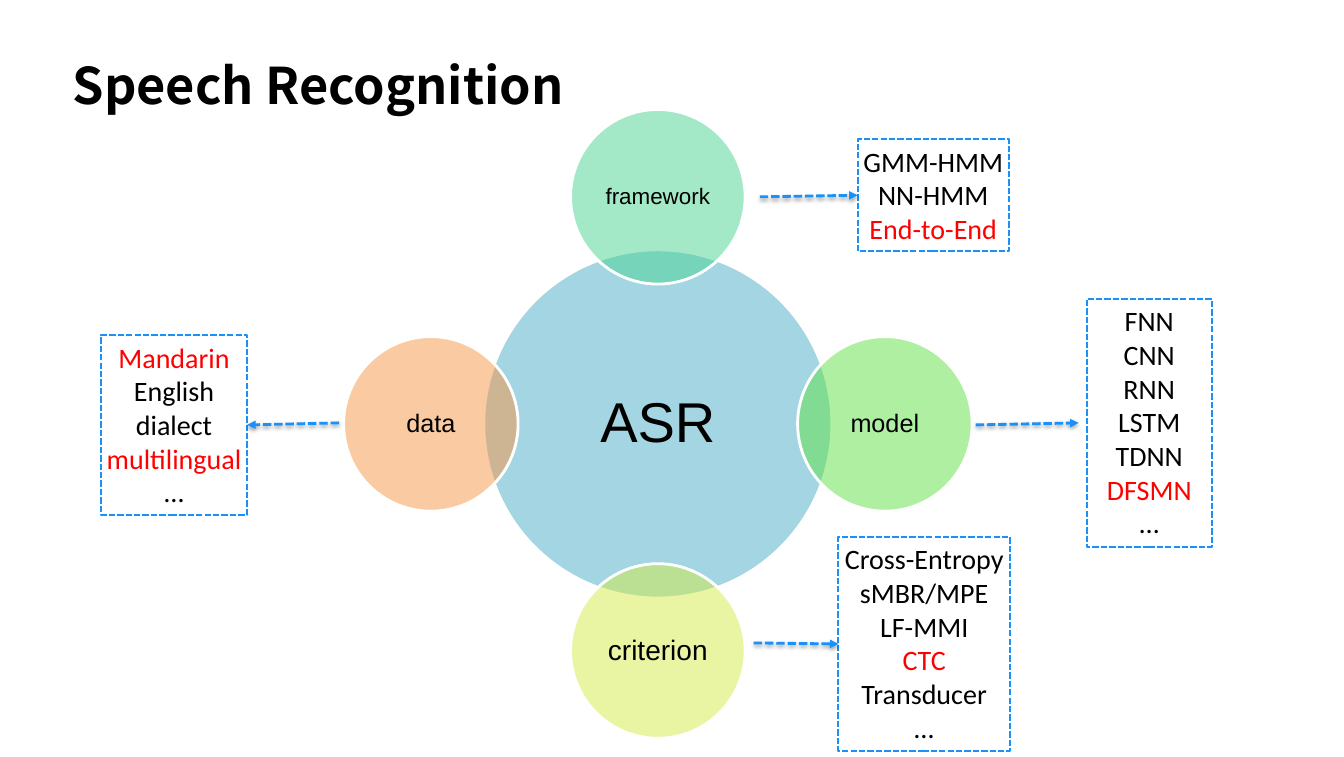
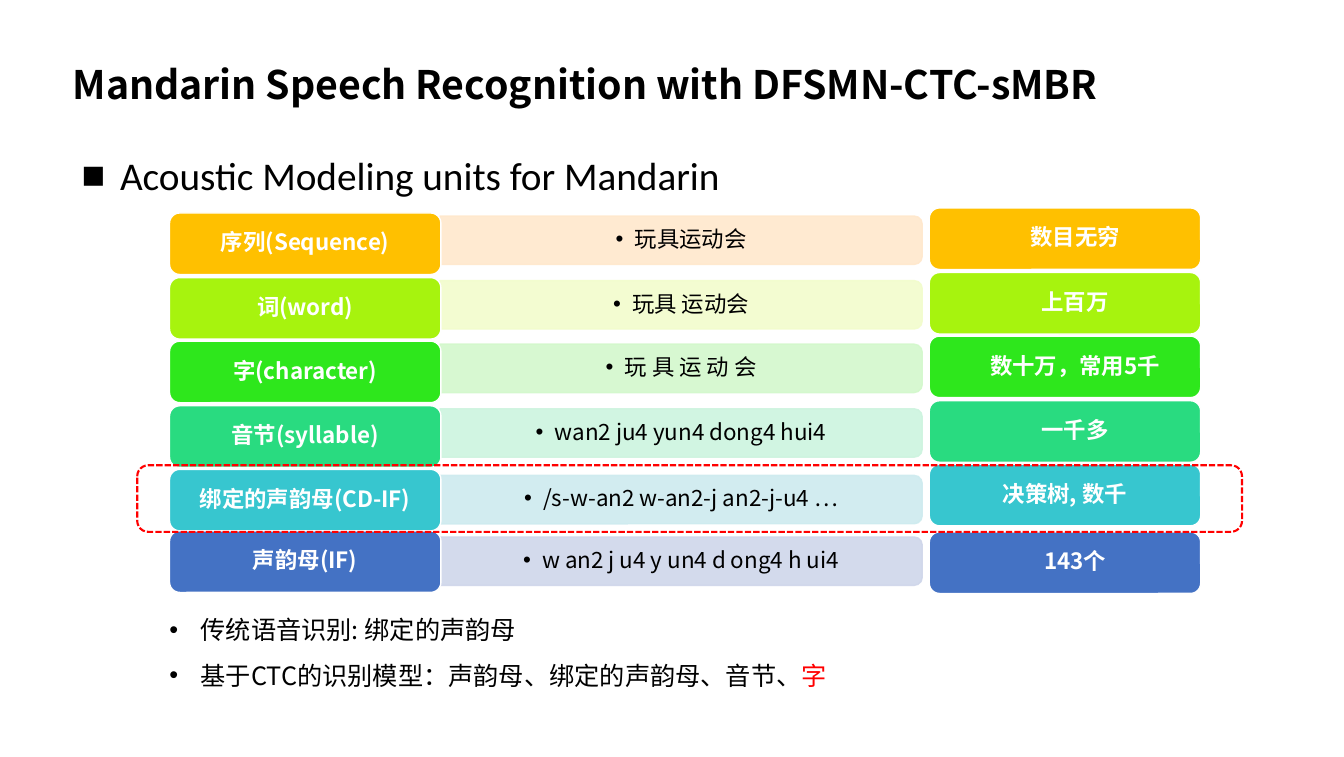
"""Build two slides on speech recognition: the task overview and the Mandarin modelling units."""
from lxml.etree import SubElement
from pptx import Presentation
from pptx.dml.color import RGBColor
from pptx.enum.dml import MSO_LINE as Dash
from pptx.enum.shapes import MSO_CONNECTOR as Link, MSO_SHAPE as Kind
from pptx.enum.text import MSO_ANCHOR as Anchor, PP_ALIGN as Align
from pptx.oxml.ns import qn
from pptx.util import Pt

PX = 9144
SLIDE_SIZE = (1332, 750)
TITLE_BOX = (67, 45, 1199, 77)
CJK, SANS, BODY = "Noto Sans CJK SC", "Arial", "Calibri"
COLORS = {
    "ink": "000000", "white": "FFFFFF", "red": "FF0000", "blue": "1891FB",
    "hub": "4BACC6", "mint": "48D491", "leaf": "60E146", "lemon": "D5EC46", "peach": "F79646",
    "gold": "FFC000", "lime": "A7F30E", "green": "2EE71C", "jade": "29DB80",
    "teal": "37C6CF", "navy": "4472C4",
    "pale gold": "FFE8CC", "pale lime": "F2FCCC", "pale green": "D3F8CC",
    "pale jade": "CDF4DF", "pale teal": "CEEBEF", "pale navy": "CFD6EA",
}

HUB_CENTER, HUB_SIZE, TOPIC_SIZE, ORBIT = (652, 420), 345, 173, 225
TOPICS = [
    {"name": "framework", "size": 16, "color": "mint", "direction": (0, -1),
     "box": (850, 138, 150, 111), "arrow": ((753, 195), (850, 194)), "side": 1,
     "lines": ["GMM-HMM", "NN-HMM", ("End-to-End", "red")]},
    {"name": "model", "size": 18, "color": "leaf", "direction": (1, 0),
     "box": (1077, 296, 124, 246), "arrow": ((967, 421), (1069, 419)), "side": None,
     "lines": ["FNN", "CNN", "RNN", "LSTM", "TDNN", ("DFSMN", "red"), "…"]},
    {"name": "criterion", "size": 20, "color": "lemon", "direction": (0, 1),
     "box": (831, 532, 170, 212), "arrow": ((747, 637), (831, 638)), "side": 1,
     "lines": ["Cross-Entropy", "sMBR/MPE", "LF-MMI", ("CTC", "red"), "Transducer", "…"]},
    {"name": "data", "size": 18, "color": "peach", "direction": (-1, 0),
     "box": (100, 332, 145, 178), "arrow": ((336, 419), (245, 421)), "side": 3,
     "lines": [("Mandarin", "red"), "English", "dialect", ("multilingual", "red"), "…"]},
]

UNITS = [
    ("序列(Sequence)", "玩具运动会", "数目无穷", "gold"),
    ("词(word)", "玩具 运动会", "上百万", "lime"),
    ("字(character)", "玩 具 运 动 会", "数十万，常用5千", "green"),
    ("音节(syllable)", "wan2 ju4 yun4 dong4 hui4", "一千多", "jade"),
    ("绑定的声韵母(CD-IF)", "/s-w-an2 w-an2-j an2-j-u4 …", "决策树, 数千", "teal"),
    ("声韵母(IF)", "w an2 j u4 y un4 d ong4 h ui4", "143个", "navy"),
]
ROW_PITCH, CELL_SIZE = 63.6, (269, 61)
NAME_LEFT, NAME_TOP, COUNT_LEFT, COUNT_TOP = 168, 211, 921, 206
BAND_LEFT, BAND_MIDDLE, BAND_LENGTH, BAND_HEIGHT = 436, 238, 478, 48
ROW_NUDGES = {4: (0, 3, 0), 5: (-3, 0, 3)}
COUNT_INSETS = {4: (7, 3, 7, 3)}
NOTES = [
    "传统语音识别: 绑定的声韵母",
    [("基于CTC的识别模型：声韵母、绑定的声韵母、音节、", "ink"), ("字", "red")],
]


def emu(*lengths):
    return [round(length * PX) for length in lengths]


def rgb(name):
    return RGBColor.from_string(COLORS[name])


def fade(fill_parent, percent):
    color = fill_parent.find(qn("a:solidFill"))[0]
    SubElement(color, qn("a:alpha"), val=str(percent * 1000))


def write(frame, lines, size, font=CJK, color="ink", bold=False, align=Align.CENTER, spacing=None,
          insets=(5, 5, 5, 5), anchor=Anchor.MIDDLE, wrap=True, bullet=None, indent=0, hang=0, level=0):
    frame.word_wrap, frame.vertical_anchor = wrap, anchor
    frame.margin_left, frame.margin_top, frame.margin_right, frame.margin_bottom = emu(*insets)
    for index, line in enumerate(lines):
        para = frame.paragraphs[0] if index == 0 else frame.add_paragraph()
        spans = line if isinstance(line, list) else [line if isinstance(line, tuple) else (line, color)]
        para.alignment, para.level = align, level
        if spacing:
            para.line_spacing = spacing
        if bullet:
            props = para._p.get_or_add_pPr()
            props.set("marL", str(emu(indent)[0]))
            props.set("indent", str(emu(-hang)[0]))
            SubElement(props, qn("a:buFont"), typeface=SANS)
            SubElement(props, qn("a:buChar"), char=bullet)
        para.font.size, para.font.name, para.font.bold = Pt(size), font, bold
        para.font.color.rgb = rgb(spans[0][1])
        SubElement(para._p.pPr.find(qn("a:defRPr")), qn("a:ea"), typeface=font)
        for text, tint in spans:
            span = para.add_run()
            span.text = text
            if tint != spans[0][1]:
                span.font.color.rgb = rgb(tint)


def add_box(slide, kind, place, fill=None, line="white", width=1, dash=None, opacity=None):
    box = slide.shapes.add_shape(kind, *emu(*place))
    box.shadow.inherit = False
    if fill:
        box.fill.solid()
        box.fill.fore_color.rgb = rgb(fill)
        if opacity:
            fade(box._element.spPr, opacity)
    else:
        box.fill.background()
    box.line.color.rgb, box.line.width = rgb(line), Pt(width)
    if dash:
        box.line.dash_style = dash
    return box


def add_text(slide, place, lines, size, **style):
    write(slide.shapes.add_textbox(*emu(*place)).text_frame, lines, size, **style)


def add_circle(slide, center, diameter, color, text, size):
    left, top = (middle - diameter / 2 for middle in center)
    circle = add_box(slide, Kind.OVAL, (left, top, diameter, diameter), color, width=2, opacity=50)
    write(circle.text_frame, [text], size, SANS, spacing=0.9, insets=(2, 2, 2, 2))


def add_arrow(slide, start, end, target, side):
    arrow = slide.shapes.add_connector(Link.STRAIGHT, *emu(*start, *end))
    if side is not None:
        arrow.end_connect(target, side)
    arrow.line.color.rgb, arrow.line.width = rgb("blue"), Pt(2)
    arrow.line.dash_style = Dash.SQUARE_DOT
    props = arrow._element.spPr
    SubElement(props.find(qn("a:ln")), qn("a:tailEnd"), type="triangle")
    shadow = SubElement(SubElement(props, qn("a:effectLst")), qn("a:outerShdw"),
                        blurRad="38100", dist="20000", dir="5400000", rotWithShape="0")
    color = SubElement(shadow, qn("a:srgbClr"), val=COLORS["ink"])
    SubElement(color, qn("a:alpha"), val="38000")


def add_slide(deck, title, size):
    slide = deck.slides.add_slide(deck.slide_layouts[5])
    holder = slide.shapes.title
    holder.left, holder.top, holder.width, holder.height = emu(*TITLE_BOX)
    write(holder.text_frame, [title], size, bold=True, align=Align.LEFT)
    return slide


def build_overview(deck):
    slide = add_slide(deck, "Speech Recognition", 36)
    add_circle(slide, HUB_CENTER, HUB_SIZE, "hub", "ASR", 40)
    for topic in TOPICS:
        center = [middle + ORBIT * step for middle, step in zip(HUB_CENTER, topic["direction"])]
        add_circle(slide, center, TOPIC_SIZE, topic["color"], topic["name"], topic["size"])
    for topic in TOPICS:
        box = add_box(slide, Kind.RECTANGLE, topic["box"], line="blue", width=1.5, dash=Dash.SQUARE_DOT)
        write(box.text_frame, topic["lines"], 20, BODY, anchor=Anchor.TOP, wrap=False)
        add_arrow(slide, *topic["arrow"], box, topic["side"])


def add_cell(slide, left, top, color, text, insets=(7, 3, 7, 3)):
    cell = add_box(slide, Kind.ROUNDED_RECTANGLE, (left, top, *CELL_SIZE), color)
    write(cell.text_frame, [text], 16, color="white", bold=True, spacing=0.9, insets=insets)


def build_units(deck):
    slide = add_slide(deck, "Mandarin Speech Recognition with DFSMN-CTC-sMBR", 28)
    for row, (name, example, count, color) in enumerate(UNITS):
        offset = round(row * ROW_PITCH)
        name_nudge, band_nudge, count_nudge = ROW_NUDGES.get(row, (0, 0, 0))
        middle = BAND_MIDDLE + offset + band_nudge
        band_place = (BAND_LEFT + (BAND_LENGTH - BAND_HEIGHT) / 2, middle - BAND_LENGTH / 2,
                      BAND_HEIGHT, BAND_LENGTH)
        pale = f"pale {color}"
        band = add_box(slide, Kind.ROUND_2_SAME_RECTANGLE, band_place, pale, pale, opacity=90)
        band.rotation = 90
        fade(band._element.spPr.find(qn("a:ln")), 90)
        add_text(slide, (BAND_LEFT + 1, middle - 22, BAND_LENGTH - 2, 44), [example], 16, spacing=0.9,
                 insets=(27, 14, 27, 14), bullet="•", indent=19, hang=19, level=1)
        add_cell(slide, NAME_LEFT, NAME_TOP + offset + name_nudge, color, name)
        add_cell(slide, COUNT_LEFT, COUNT_TOP + offset + count_nudge, color, count,
                 COUNT_INSETS.get(row, (27, 3, 7, 3)))
    add_box(slide, Kind.ROUNDED_RECTANGLE, (136, 461, 1095, 66), line="red", width=1.5, dash=Dash.SQUARE_DOT)
    add_text(slide, (108, 589, 1116, 101), NOTES, 18, align=Align.LEFT, spacing=1.5, anchor=Anchor.TOP,
             insets=(10, 5, 10, 5), bullet="•", indent=81, hang=31, level=1)
    add_text(slide, (76, 145, 651, 57), ["Acoustic Modeling units for Mandarin"], 28, font=BODY,
             align=Align.LEFT, anchor=Anchor.TOP, wrap=False, bullet="■", indent=38, hang=38)


def main():
    deck = Presentation()
    deck.slide_width, deck.slide_height = emu(*SLIDE_SIZE)
    build_overview(deck)
    build_units(deck)
    deck.save("out.pptx")


if __name__ == "__main__":
    main()
